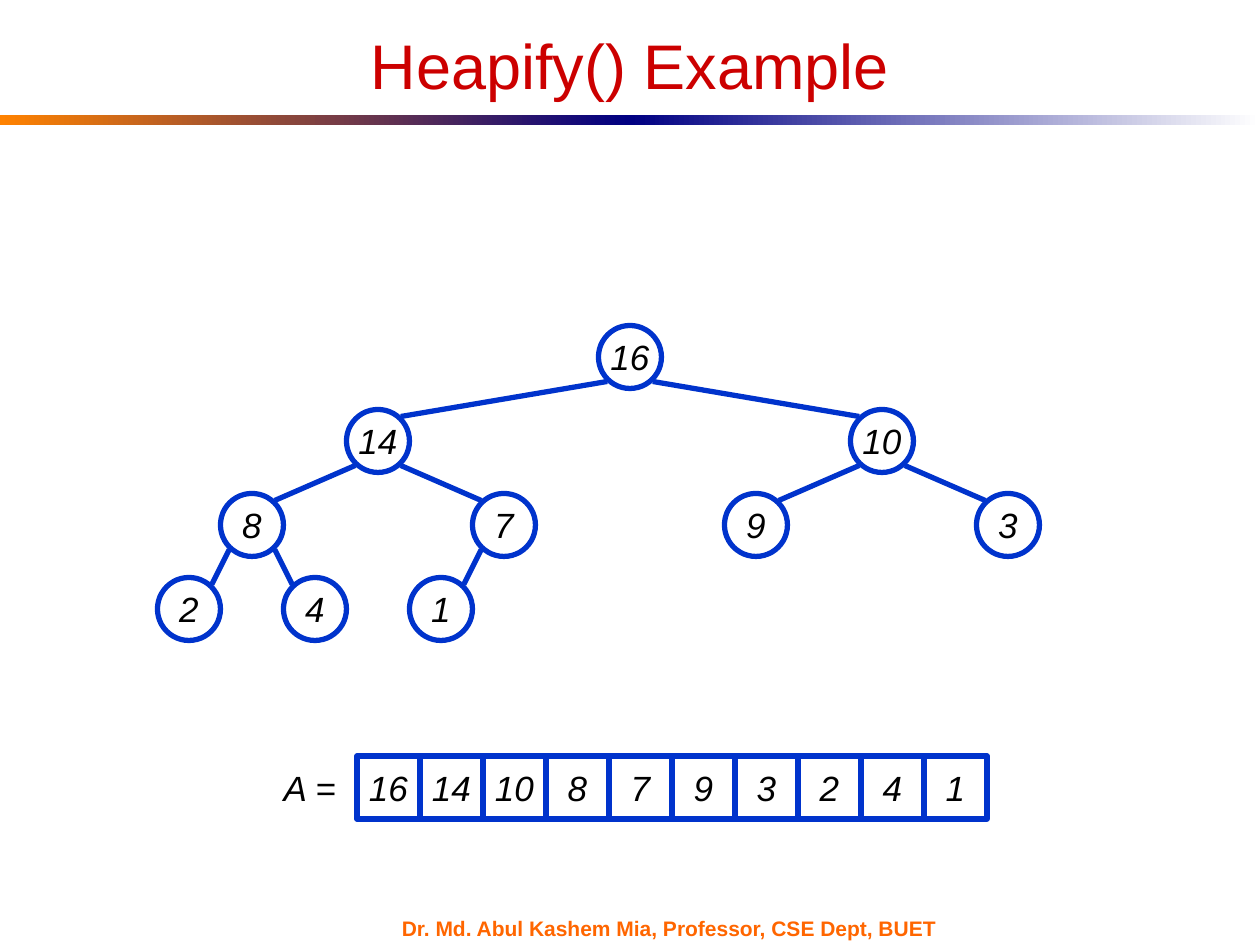
import pptx
import pptx.dml.color
import pptx.enum.shapes
import pptx.enum.text
import pptx.oxml
import pptx.util

Pt = pptx.util.Pt
SHAPE = pptx.enum.shapes.MSO_SHAPE
ALIGN = pptx.enum.text.PP_ALIGN

HUES = {"title": "CC0000", "line": "0033CC", "text": "000000", "fill": "FFFFFF",
        "foot": "FF6600", "orange": "FF8200", "navy": "000082"}
HEAP = [16, 14, 10, 8, 7, 9, 3, 2, 4, 1]
SIZE = 36           # side of a tree node and of an array cell
LEFT, SPAN = 72, 576  # extent of the tree
TOP, STEP = 204, 48   # centre of the root, distance between levels


def hue(name):
    return pptx.dml.color.RGBColor.from_string(HUES[name])


def write(shape, text, size, color, align=ALIGN.CENTER, bold=False,
          italic=False, wrap=False):
    frame = shape.text_frame
    frame.text = text
    frame.auto_size = pptx.enum.text.MSO_AUTO_SIZE.NONE
    frame.word_wrap = wrap
    frame.vertical_anchor = pptx.enum.text.MSO_ANCHOR.MIDDLE
    para = frame.paragraphs[0]
    para.alignment = align
    font = para.font
    font.name, font.size = "Arial", Pt(size)
    font.bold, font.italic = bold, italic
    font.color.rgb = hue(color)


def add_title(slide, text):
    title = slide.shapes.title
    title.left, title.top = Pt(36), Pt(18)
    title.width, title.height = Pt(648), Pt(37)
    write(title, text, 36, "title", wrap=True)


def add_bar(slide, left, start, end):
    """Draw half of the gradient rule below the title."""
    bar = slide.shapes.add_shape(SHAPE.RECTANGLE, Pt(left), Pt(65.6), Pt(360), Pt(6))
    bar.shadow.inherit = False
    bar.line.fill.background()
    bar.fill.gradient()
    bar.fill.gradient_angle = 0
    for stop, name in zip(bar.fill.gradient_stops, (start, end)):
        stop.color.rgb = hue(name)


def add_label(slide, text, box, *style, **more):
    label = slide.shapes.add_textbox(*map(Pt, box))
    write(label, text, *style, **more)


def add_cell(slide, kind, x, y, value):
    """Draw a node or array cell centred on x, y."""
    cell = slide.shapes.add_shape(kind, Pt(x - SIZE / 2), Pt(y - SIZE / 2),
                                  Pt(SIZE), Pt(SIZE))
    cell.shadow.inherit = False
    cell.fill.solid()
    cell.fill.fore_color.rgb = hue("fill")
    cell.line.color.rgb = hue("line")
    cell.line.width = Pt(3)
    write(cell, str(value), 20, "text", italic=True)


def add_edge(slide, start, end):
    """Join the lower side of a parent to the upper side of its child."""
    (x1, y1), (x2, y2) = start, end
    dx = 13 if x2 > x1 else -13
    edge = slide.shapes.add_connector(
        pptx.enum.shapes.MSO_CONNECTOR.STRAIGHT,
        Pt(x1 + dx), Pt(y1 + 14), Pt(x2 - dx), Pt(y2 - 14))
    edge.line.color.rgb = hue("line")
    edge.line.width = Pt(3)
    props = edge.element.spPr
    props.append(pptx.oxml.parse_xml(
        '<a:effectLst xmlns:a="http://schemas.openxmlformats.org/drawingml/2006/main"/>'))


def locate(index):
    """Return the centre of the node at a heap index counted from 1."""
    level = index.bit_length() - 1
    gap = SPAN / 2 ** level
    return LEFT + gap * (index - 2 ** level + 0.5), TOP + STEP * level


def add_tree(slide):
    for index, value in enumerate(HEAP, 1):
        add_cell(slide, SHAPE.OVAL, *locate(index), value)
    for index in range(2, len(HEAP) + 1):
        add_edge(slide, locate(index // 2), locate(index))


def add_array(slide):
    for index, value in enumerate(HEAP):
        add_cell(slide, SHAPE.RECTANGLE, 222 + SIZE * index, 450, value)
    add_label(slide, "A =", (150, 432, 54, 36), 20, "text", italic=True)


def main():
    deck = pptx.Presentation()
    deck.slide_width, deck.slide_height = Pt(720), Pt(540)
    slide = deck.slides.add_slide(deck.slide_layouts[5])
    add_bar(slide, 0, "orange", "navy")
    add_bar(slide, 360, "navy", "fill")
    add_label(slide, "Dr. Md. Abul Kashem Mia, Professor, CSE Dept, BUET",
              (222.5, 524, 336, 13), 12, "foot", ALIGN.LEFT, bold=True, wrap=True)
    add_title(slide, "Heapify() Example")
    add_tree(slide)
    add_array(slide)
    deck.save("out.pptx")


if __name__ == "__main__":
    main()
